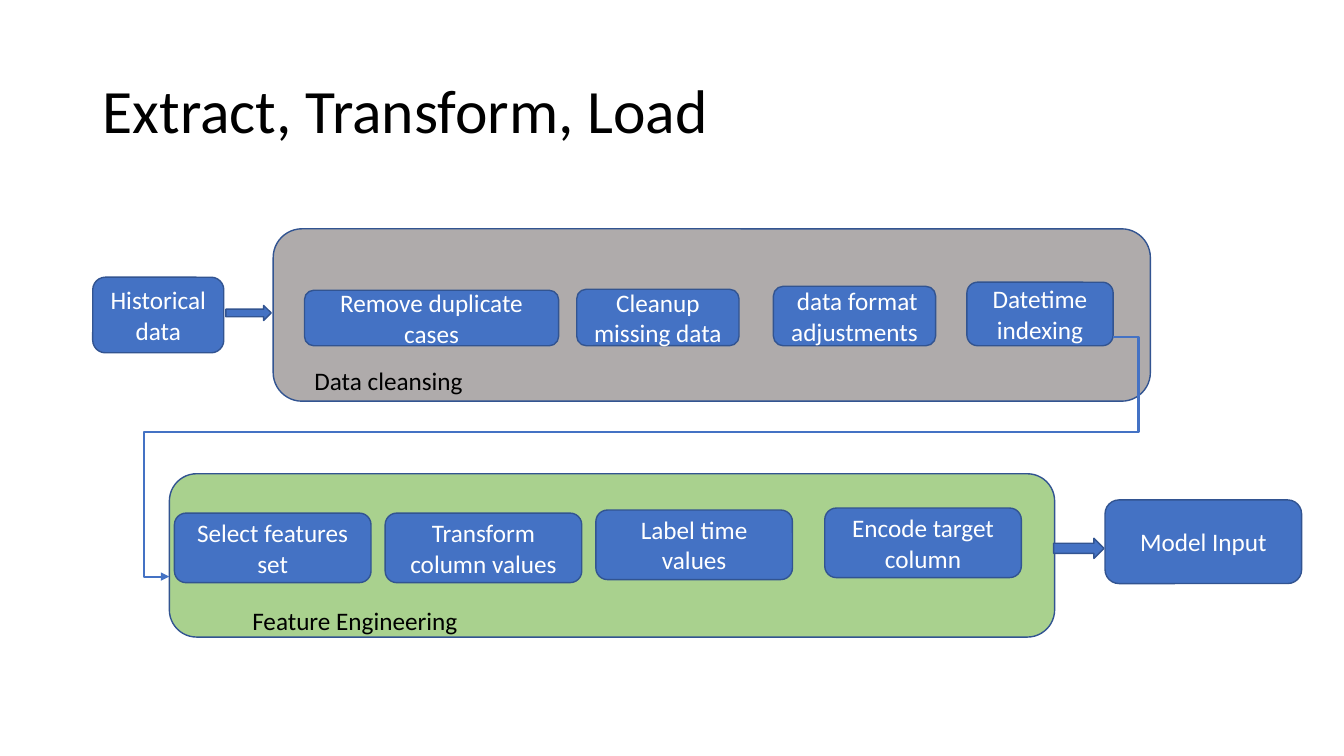
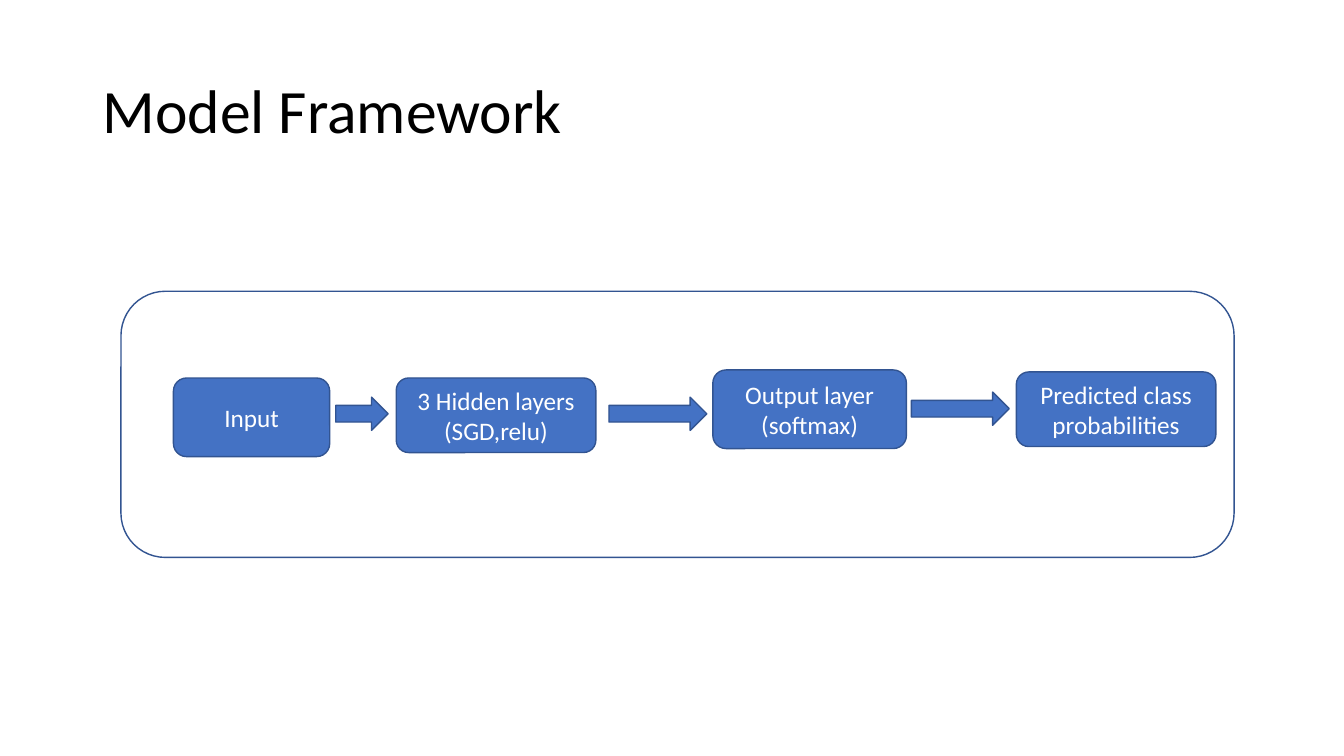
from lxml.etree import SubElement
from pptx import Presentation
from pptx.dml.color import RGBColor
from pptx.enum.shapes import MSO_CONNECTOR as Connector, MSO_SHAPE as Shape
from pptx.enum.text import MSO_ANCHOR as Anchor, PP_ALIGN as Align
from pptx.oxml.ns import qn
from pptx.util import Emu, Pt

EMU_PER_PX = 9144
COLORS = {
    "blue": "4472C4",
    "outline": "325491",
    "gray": "AFABAB",
    "green": "A9D18E",
    "white": "FFFFFF",
    "black": "000000",
}


def px(length):
    return Emu(length * EMU_PER_PX)


def color(name):
    return RGBColor.from_string(COLORS[name])


class FlowDeck:
    font = "Calibri"
    body_size = 18
    title_size = 44

    def __init__(self, width, height):
        self.deck = Presentation()
        self.deck.slide_width, self.deck.slide_height = px(width), px(height)
        self.slide = None

    def add_slide(self, title):
        self.slide = self.deck.slides.add_slide(self.deck.slide_layouts[6])
        frame = self.label(title, 92, 40, 1150, 145, size=self.title_size)
        frame.vertical_anchor = Anchor.MIDDLE
        frame.paragraphs[0].line_spacing = 0.9

    def style_text(self, frame, text, size, ink, align):
        frame.word_wrap = True
        frame.text = text
        for para in frame.paragraphs:
            para.alignment = align
            for span in para.runs:
                span.font.name = self.font
                span.font.size = Pt(size)
                span.font.color.rgb = color(ink)

    def label(self, text, left, top, width, height, size=body_size, align=Align.LEFT):
        box = self.slide.shapes.add_textbox(px(left), px(top), px(width), px(height))
        self.style_text(box.text_frame, text, size, "black", align)
        return box.text_frame

    def shape(self, kind, left, top, width, height, fill="blue"):
        shape = self.slide.shapes.add_shape(kind, px(left), px(top), px(width), px(height))
        shape.shadow.inherit = False
        if fill:
            shape.fill.solid()
            shape.fill.fore_color.rgb = color(fill)
        else:
            shape.fill.background()
        shape.line.color.rgb = color("outline")
        shape.line.width = Pt(1)
        return shape

    def group_panel(self, left, top, width, height, fill=None):
        self.shape(Shape.ROUNDED_RECTANGLE, left, top, width, height, fill)

    def step(self, text, left, top, width, height):
        box = self.shape(Shape.ROUNDED_RECTANGLE, left, top, width, height)
        box.text_frame.vertical_anchor = Anchor.MIDDLE
        self.style_text(box.text_frame, text, self.body_size, "white", Align.CENTER)

    def block_arrow(self, left, top, width, height):
        self.shape(Shape.RIGHT_ARROW, left, top, width, height)

    def bent_arrow(self, start, end, bends):
        line = self.slide.shapes.add_connector(Connector.ELBOW, *map(px, start + end))
        line.line.color.rgb = color("blue")
        line.line.width = Pt(1.5)
        properties = line._element.spPr
        geometry = properties.find(qn("a:prstGeom"))
        geometry.set("prst", "bentConnector5")
        guides = geometry.find(qn("a:avLst"))
        if guides is None:
            guides = SubElement(geometry, qn("a:avLst"))
        for number, bend in enumerate(bends, 1):
            SubElement(guides, qn("a:gd"), name=f"adj{number}", fmla=f"val {bend}")
        SubElement(properties.find(qn("a:ln")), qn("a:tailEnd"), type="triangle")
        SubElement(properties, qn("a:effectLst"))

    def save(self):
        self.deck.save("out.pptx")


def build_etl(flow):
    flow.add_slide("Extract, Transform, Load")
    flow.group_panel(271, 227, 870, 171, "gray")
    flow.group_panel(168, 470, 878, 162, "green")

    flow.step("Historical data", 92, 275, 130, 75)
    cleansing_bottom = 343
    for text, left, width, height in (
        ("Remove duplicate cases", 302, 252, 55),
        ("Cleanup missing data", 572, 161, 56),
        (" data format adjustments", 767, 161, 59),
        ("Datetime indexing", 959, 145, 63),
    ):
        flow.step(text, left, cleansing_bottom - height, width, height)

    feature_width, feature_height = 195, 69
    for text, left, top in (
        ("Select features set", 173, 509),
        ("Transform column values", 382, 509),
        ("Label time values", 591, 506),
        ("Encode target column", 818, 504),
    ):
        flow.step(text, left, top, feature_width, feature_height)
    flow.step("Model Input", 1096, 496, feature_width, 83)

    flow.label("Data cleansing", 302, 358, 191, 40)
    flow.label("Feature Engineering", 231, 596, 242, 40, align=Align.CENTER)
    flow.block_arrow(224, 303, 45, 15)
    flow.bent_arrow((1104, 334), (168, 572), (-2700, 39700, 102700))
    flow.block_arrow(1045, 534, 50, 20)


def build_framework(flow):
    flow.add_slide("Model Framework")
    flow.group_panel(120, 289, 1104, 264)
    for text, left, top, width, height in (
        ("Input", 172, 375, 155, 78),
        ("3 Hidden layers\n(SGD,relu)", 393, 375, 198, 74),
        ("Output layer\n(softmax)", 707, 367, 192, 78),
        ("Predicted class probabilities", 1008, 369, 198, 74),
    ):
        flow.step(text, left, top, width, height)
    for left, top, width in ((333, 394, 52), (604, 394, 97), (904, 389, 97)):
        flow.block_arrow(left, top, width, 33)


def main():
    flow = FlowDeck(1333, 750)
    build_etl(flow)
    build_framework(flow)
    flow.save()


if __name__ == "__main__":
    main()
